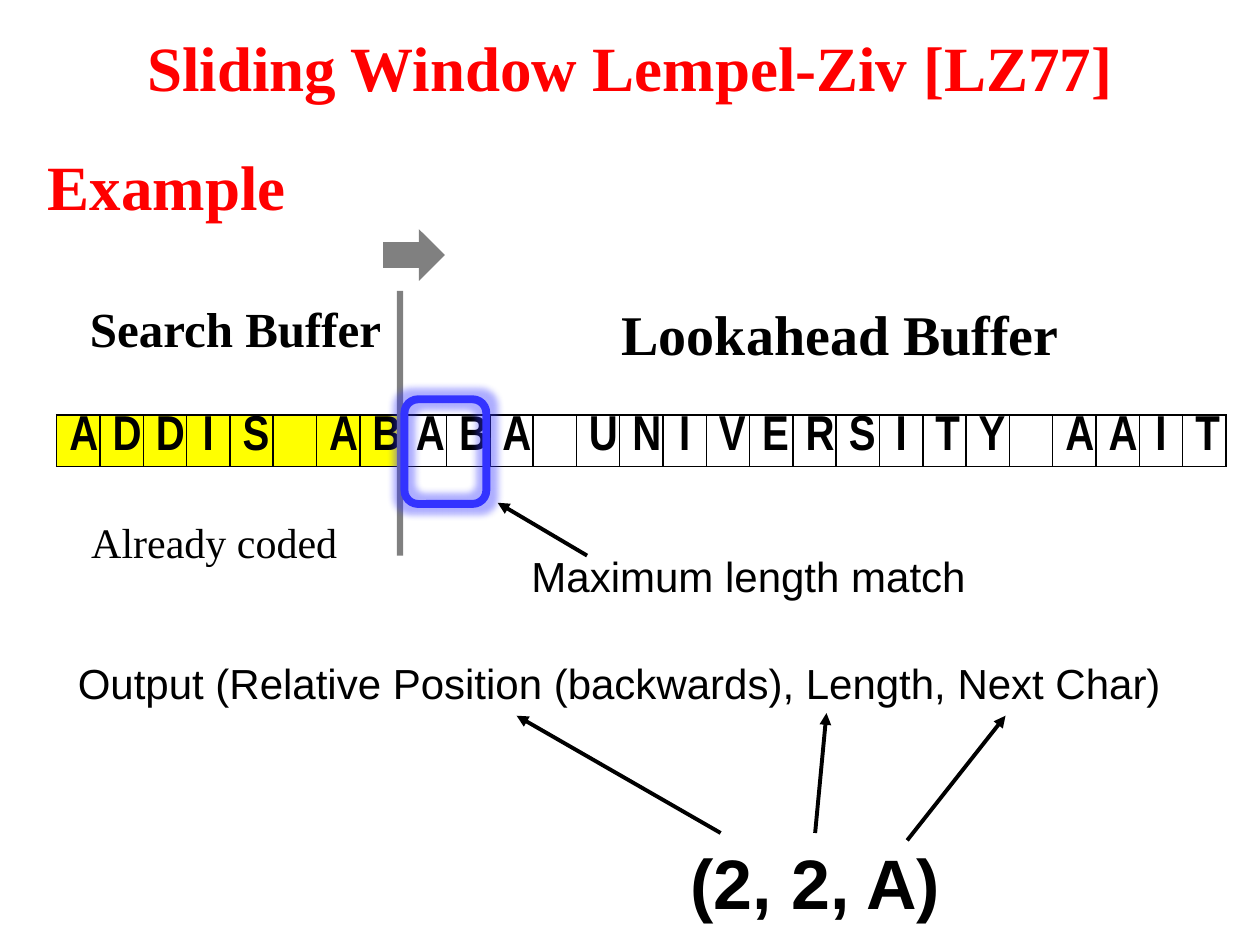
from dataclasses import dataclass

from lxml.etree import SubElement
from pptx import Presentation
from pptx.dml.color import RGBColor
from pptx.enum.shapes import MSO_CONNECTOR, MSO_SHAPE
from pptx.enum.text import MSO_ANCHOR, PP_ALIGN
from pptx.oxml.ns import qn
from pptx.util import Pt


@dataclass(frozen=True)
class Theme:
    red: RGBColor = RGBColor(0xFF, 0, 0)
    black: RGBColor = RGBColor(0, 0, 0)
    gray: RGBColor = RGBColor(0x80, 0x80, 0x80)
    blue: RGBColor = RGBColor(0x33, 0x33, 0xFF)
    yellow: RGBColor = RGBColor(0xFF, 0xFF, 0)
    serif: str = "Times New Roman"
    sans: str = "Arial"
    narrow: str = "Arial Narrow"
    title: int = 36
    lookahead: int = 32
    label: int = 28
    body: int = 24
    result: int = 40


THEME = Theme()
MESSAGE = "ADDIS ABABA UNIVERSITY AAIT"
CODED = 8


def format_paragraph(p, font, size, color=THEME.black, bold=False, align=PP_ALIGN.CENTER):
    p.alignment = align
    p.font.name = font
    p.font.size = Pt(size)
    p.font.bold = bold
    p.font.color.rgb = color


def add_title(s, text, left, top, width, height):
    sp = s.shapes.title
    sp.left, sp.top, sp.width, sp.height = Pt(left), Pt(top), Pt(width), Pt(height)
    tf = sp.text_frame
    tf.text = text
    tf.vertical_anchor = MSO_ANCHOR.MIDDLE
    format_paragraph(tf.paragraphs[0], THEME.serif, THEME.title, THEME.red, True)


def add_label(s, text, left, top, width, height, font, size, anchor=MSO_ANCHOR.TOP, **style):
    tf = s.shapes.add_textbox(Pt(left), Pt(top), Pt(width), Pt(height)).text_frame
    tf.word_wrap = True
    tf.vertical_anchor = anchor
    tf.text = text
    format_paragraph(tf.paragraphs[0], font, size, **style)


def add_borders(cell):
    """Put black 1 pt lines on all four sides, ahead of the cell's fill."""
    tcPr = cell._tc.get_or_add_tcPr()
    for i, side in enumerate(("lnL", "lnR", "lnT", "lnB")):
        ln = SubElement(tcPr, qn(f"a:{side}"), w=str(Pt(1)))
        fill = SubElement(ln, qn("a:solidFill"))
        SubElement(fill, qn("a:srgbClr"), val=str(THEME.black))
        tcPr.insert(i, ln)


def add_message(s, left, top, width, height):
    """Draw one cell per character, with the coded ones highlighted."""
    table = s.shapes.add_table(1, len(MESSAGE), Pt(left), Pt(top), Pt(width), Pt(height)).table
    table.first_row = table.horz_banding = False
    for i, char in enumerate(MESSAGE):
        table.columns[i].width = Pt(width / len(MESSAGE))
        cell = table.cell(0, i)
        cell.margin_top = cell.margin_bottom = 0
        cell.text = char.strip()
        format_paragraph(cell.text_frame.paragraphs[0], THEME.narrow, THEME.label, bold=True)
        if i < CODED:
            cell.fill.solid()
            cell.fill.fore_color.rgb = THEME.yellow
        else:
            cell.fill.background()
        add_borders(cell)


def add_gray_shape(s, kind, left, top, width, height):
    sp = s.shapes.add_shape(kind, Pt(left), Pt(top), Pt(width), Pt(height))
    sp.shadow.inherit = False
    sp.fill.solid()
    sp.fill.fore_color.rgb = THEME.gray
    sp.line.fill.background()


def add_match_frame(s, left, top, width, height):
    """Draw a glowing outline around the matched characters."""
    sp = s.shapes.add_shape(
        MSO_SHAPE.ROUNDED_RECTANGLE, Pt(left), Pt(top), Pt(width), Pt(height))
    sp.fill.background()
    sp.line.color.rgb = THEME.blue
    sp.line.width = Pt(4.5)
    sp.shadow.inherit = False
    effects = sp._element.spPr.find(qn("a:effectLst"))
    glow = SubElement(effects, qn("a:glow"), rad=str(Pt(8)))
    color = SubElement(glow, qn("a:srgbClr"), val=str(THEME.blue))
    SubElement(color, qn("a:alpha"), val="40000")


def add_arrow(s, x1, y1, x2, y2):
    line = s.shapes.add_connector(MSO_CONNECTOR.STRAIGHT, Pt(x1), Pt(y1), Pt(x2), Pt(y2))
    line.line.color.rgb = THEME.black
    line.line.width = Pt(2.25)
    SubElement(line.line._get_or_add_ln(), qn("a:tailEnd"), type="triangle")
    SubElement(line._element.spPr, qn("a:effectLst"))


def main():
    prs = Presentation()
    prs.slide_width, prs.slide_height = Pt(720), Pt(540)
    s = prs.slides.add_slide(prs.slide_layouts[5])
    t = THEME

    add_title(s, "Sliding Window Lempel-Ziv [LZ77]", 54, 5, 612, 66)
    add_message(s, 32.4, 237, 668.9, 29.5)
    add_gray_shape(s, MSO_SHAPE.RECTANGLE, 226.8, 166.3, 3.6, 151.2)
    add_label(s, "Lookahead Buffer", 327.6, 167.8, 305.3, 46, t.serif, t.lookahead, bold=True)
    add_label(s, "Search Buffer", 37.4, 167, 194.4, 41, t.serif, t.label, bold=True)
    add_label(s, "Already coded", 37.4, 291.6, 170, 36, t.serif, t.body)
    add_gray_shape(s, MSO_SHAPE.RIGHT_ARROW, 218.9, 131, 35.3, 29.5)
    add_label(s, "Output (Relative Position (backwards), Length, Next Char)",
              37.4, 372.2, 657.4, 36, t.sans, t.body, align=PP_ALIGN.LEFT)
    add_label(s, "Example", 14.4, 72.7, 162, 66, t.serif, t.title,
              MSO_ANCHOR.MIDDLE, color=t.red, bold=True)
    add_match_frame(s, 231.1, 228.2, 46.8, 59.8)
    add_label(s, "(2, 2, A)", 357.1, 476, 217.4, 55.4, t.sans, t.result, bold=True)
    add_label(s, "Maximum length match", 296.6, 311, 278, 36, t.sans, t.body,
              align=PP_ALIGN.LEFT)
    for ends in ((411.8, 476, 295.2, 409),
                 (465.8, 476, 472.3, 407.5),
                 (518.4, 480.2, 574.6, 409),
                 (335.5, 317.5, 284.4, 287.3)):
        add_arrow(s, *ends)

    prs.save("out.pptx")


if __name__ == "__main__":
    main()
